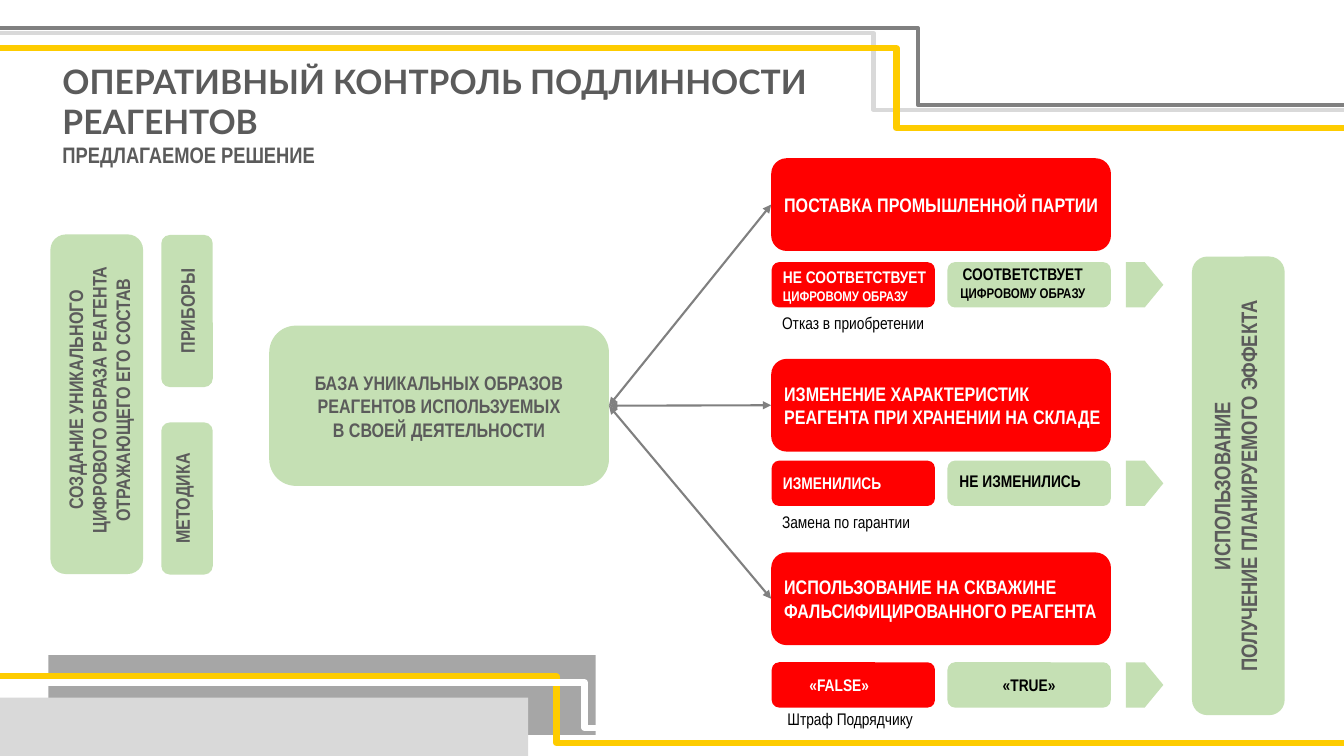
from dataclasses import dataclass
from typing import NamedTuple

from lxml import etree
from pptx import Presentation
from pptx import util as u
from pptx.dml.color import RGBColor
from pptx.enum import shapes, text
from pptx.oxml import ns


@dataclass(frozen=True)
class Theme:
    green: str = "C5E0B4"
    red: str = "FF0000"
    yellow: str = "FECC00"
    grey: str = "808080"
    mid_grey: str = "A6A6A6"
    light_grey: str = "D9D9D9"
    ink: str = "5B5B5B"
    white: str = "FFFFFF"
    black: str = "000000"
    title_font: str = "Lato"
    body_font: str = "Arial Narrow"
    title: int = 24
    heading: int = 16
    body: int = 14
    small: int = 12
    tiny: int = 10


class Box(NamedTuple):
    """Place on a grid of 100 columns by 100 rows."""
    x: float
    y: float
    w: float
    h: float


class Line(NamedTuple):
    text: str
    size: int


class Inset(NamedTuple):
    """Text margins in points."""
    left: float = 0
    top: float = 0
    right: float = 0
    bottom: float = 0


@dataclass(frozen=True)
class Label:
    lines: list[Line]
    color: str
    align: text.PP_ALIGN = text.PP_ALIGN.CENTER
    inset: Inset = Inset()
    bold: bool = True
    font: str = "Arial Narrow"


@dataclass(frozen=True)
class Stage:
    y: float
    label: Label
    verdict_y: float
    bad: Label
    good: Label
    note: str
    note_x: float
    note_y: float


class Bend(NamedTuple):
    y1: float
    y2: float
    turn: float  # share of the slide's width
    color: str
    weight: float


T = Theme()
LEFT, CENTER = text.PP_ALIGN.LEFT, text.PP_ALIGN.CENTER
ROUND, RECT = shapes.MSO_SHAPE.ROUNDED_RECTANGLE, shapes.MSO_SHAPE.RECTANGLE

prs = Presentation()
prs.slide_width, prs.slide_height = u.Inches(13.33), u.Inches(7.5)
s = prs.slides.add_slide(prs.slide_layouts[5])  # title only


def col(n: float) -> int:
    return round(prs.slide_width * n / 100)


def row(n: float) -> int:
    return round(prs.slide_height * n / 100)


def place(box: Box) -> tuple[int, int, int, int]:
    return col(box.x), row(box.y), col(box.w), row(box.h)


def write(sp, label: Label) -> None:
    tf = sp.text_frame
    tf.word_wrap, tf.auto_size = True, text.MSO_AUTO_SIZE.NONE
    tf.vertical_anchor = text.MSO_ANCHOR.MIDDLE
    tf.margin_left, tf.margin_top, tf.margin_right, tf.margin_bottom = map(u.Pt, label.inset)
    for i, line in enumerate(label.lines):
        p = tf.add_paragraph() if i else tf.paragraphs[0]
        p.alignment = label.align
        r = p.add_run()
        r.text = line.text
        r.font.name, r.font.size, r.font.bold = label.font, u.Pt(line.size), label.bold
        r.font.color.rgb = RGBColor.from_string(label.color)


def add_text(box: Box, label: Label) -> None:
    write(s.shapes.add_textbox(*place(box)), label)


def add_block(box: Box, fill: str, label: Label | None = None, kind=ROUND, upright=False):
    x, y, w, h = place(box)
    if upright:  # turned a quarter left about its centre
        x, y, w, h = x + (w - h) // 2, y + (h - w) // 2, h, w
    sp = s.shapes.add_shape(kind, x, y, w, h)
    sp.rotation = 270 if upright else 0
    sp.shadow.inherit = False
    sp.fill.solid()
    sp.fill.fore_color.rgb = RGBColor.from_string(fill)
    sp.line.fill.background()
    if label:
        write(sp, label)
    return sp


def style_line(cx, color: str, weight: float) -> None:
    cx.line.color.rgb = RGBColor.from_string(color)
    cx.line.width = u.Pt(weight)
    etree.SubElement(cx._element.spPr, ns.qn("a:effectLst"))


def add_bend(bend: Bend) -> None:
    cx = s.shapes.add_connector(shapes.MSO_CONNECTOR.ELBOW, 0, row(bend.y1),
                                prs.slide_width, row(bend.y2))
    style_line(cx, bend.color, bend.weight)
    guides = cx._element.spPr.find(ns.qn("a:prstGeom")).get_or_add_avLst()
    etree.SubElement(guides, ns.qn("a:gd"), name="adj1", fmla=f"val {round(bend.turn * 100000)}")


def add_link(start, end) -> None:
    cx = s.shapes.add_connector(shapes.MSO_CONNECTOR.STRAIGHT, 0, 0, 0, 0)
    cx.begin_connect(start, 3)
    cx.end_connect(end, 1)
    style_line(cx, T.grey, 1.5)
    for tip in ("a:headEnd", "a:tailEnd"):
        etree.SubElement(cx.line._get_or_add_ln(), ns.qn(tip), type="triangle")


def lines(size: int, *words: str) -> list[Line]:
    return [Line(word, size) for word in words]


def stage_label(*words: str) -> Label:
    return Label(lines(T.body, *words), T.white, LEFT, Inset(left=6))


# Frame lines and plates
add_block(Box(3.6, 86.67, 40.73, 10.53), T.mid_grey, kind=RECT)
add_block(Box(0, 92.27, 39.3, 7.73), T.light_grey, kind=RECT)
for bend in (Bend(3.73, 13.87, 0.683, T.grey, 3),
             Bend(4.4, 14.53, 0.65, T.light_grey, 3),
             Bend(6.4, 16.93, 0.667, T.yellow, 4.5),
             Bend(89.47, 98.27, 0.414, T.yellow, 4.5),
             Bend(90.27, 96.27, 0.435, T.white, 4.5)):
    add_bend(bend)

# Headings
title = s.shapes.title
title.left, title.top, title.width, title.height = place(Box(4.65, 8, 57, 10.67))
write(title, Label(lines(T.title, "ОПЕРАТИВНЫЙ КОНТРОЛЬ ПОДЛИННОСТИ РЕАГЕНТОВ"), T.ink, LEFT,
                   font=T.title_font))
add_text(Box(4.65, 18.67, 22, 3.6), Label(lines(T.heading, "ПРЕДЛАГАЕМОЕ РЕШЕНИЕ"), T.ink, LEFT))

# Upright blocks on both sides
for box, size, words, inset in (
    (Box(3.75, 31, 6.9, 44.93), T.body,
     ("СОЗДАНИЕ УНИКАЛЬНОГО", "ЦИФРОВОГО ОБРАЗА РЕАГЕНТА ОТРАЖАЮЩЕГО ЕГО СОСТАВ"),
     Inset(left=6, top=3)),
    (Box(12, 31.07, 3.83, 20.13), T.body, ("ПРИБОРЫ",), Inset()),
    (Box(12, 55.87, 3.83, 20.13), T.body, ("МЕТОДИКА",), Inset(bottom=7)),
    (Box(88.69, 33.93, 6.9, 60.67), T.heading,
     ("ИСПОЛЬЗОВАНИЕ", "ПОЛУЧЕНИЕ ПЛАНИРУЕМОГО ЭФФЕКТА"), Inset(bottom=5)),
):
    add_block(box, T.green, Label(lines(size, *words), T.ink, inset=inset), upright=True)

# Database of reagent images
base = add_block(Box(20.03, 43.07, 25.28, 21.2), T.green, Label(lines(
    T.body, "БАЗА УНИКАЛЬНЫХ ОБРАЗОВ", "РЕАГЕНТОВ ИСПОЛЬЗУЕМЫХ", "В СВОЕЙ ДЕЯТЕЛЬНОСТИ"), T.ink))

# Control stages with their two verdicts
digital = Line("ЦИФРОВОМУ ОБРАЗУ", T.tiny)
stages = [
    Stage(20.93, stage_label("ПОСТАВКА ПРОМЫШЛЕННОЙ ПАРТИИ"), 34.67,
          Label([Line("НЕ СООТВЕТСТВУЕТ", T.small), digital], T.white, LEFT, Inset(left=6.5, top=1)),
          Label([Line("СООТВЕТСТВУЕТ", T.small), digital], T.black,
                inset=Inset(right=9, bottom=3)),
          "Отказ в приобретении", 57.45, 40.67),
    Stage(47.47, stage_label("ИЗМЕНЕНИЕ ХАРАКТЕРИСТИК", "РЕАГЕНТА ПРИ ХРАНЕНИИ НА СКЛАДЕ"), 60.93,
          Label(lines(T.small, "ИЗМЕНИЛИСЬ"), T.white, LEFT, Inset(left=6.5)),
          Label(lines(T.small, "НЕ ИЗМЕНИЛИСЬ"), T.black, LEFT, Inset(left=7, bottom=3.5)),
          "Замена по гарантии", 57.45, 67.07),
    Stage(73.07, stage_label("ИСПОЛЬЗОВАНИЕ НА СКВАЖИНЕ", "ФАЛЬСИФИЦИРОВАННОГО РЕАГЕНТА"), 87.6,
          Label(lines(T.small, "«FALSE»"), T.white, inset=Inset(right=20)),
          Label(lines(T.small, "«TRUE»"), T.black),
          "Штраф Подрядчику", 57.85, 93.07),
]
for stage in stages:
    block = add_block(Box(57.38, stage.y, 25.28, 12.27), T.red, stage.label)
    add_link(base, block)
    add_block(Box(57.42, stage.verdict_y, 12.15, 6), T.red, stage.bad)
    add_block(Box(70.5, stage.verdict_y, 12.15, 6), T.green, stage.good)
    add_block(Box(83.78, stage.verdict_y, 2.78, 6), T.green, kind=shapes.MSO_SHAPE.PENTAGON)
    add_text(Box(stage.note_x, stage.note_y, 12.5, 4),
             Label(lines(T.small, stage.note), T.black, LEFT, Inset(7.2, 3.6, 0, 3.6), bold=False))

prs.save("out.pptx")
